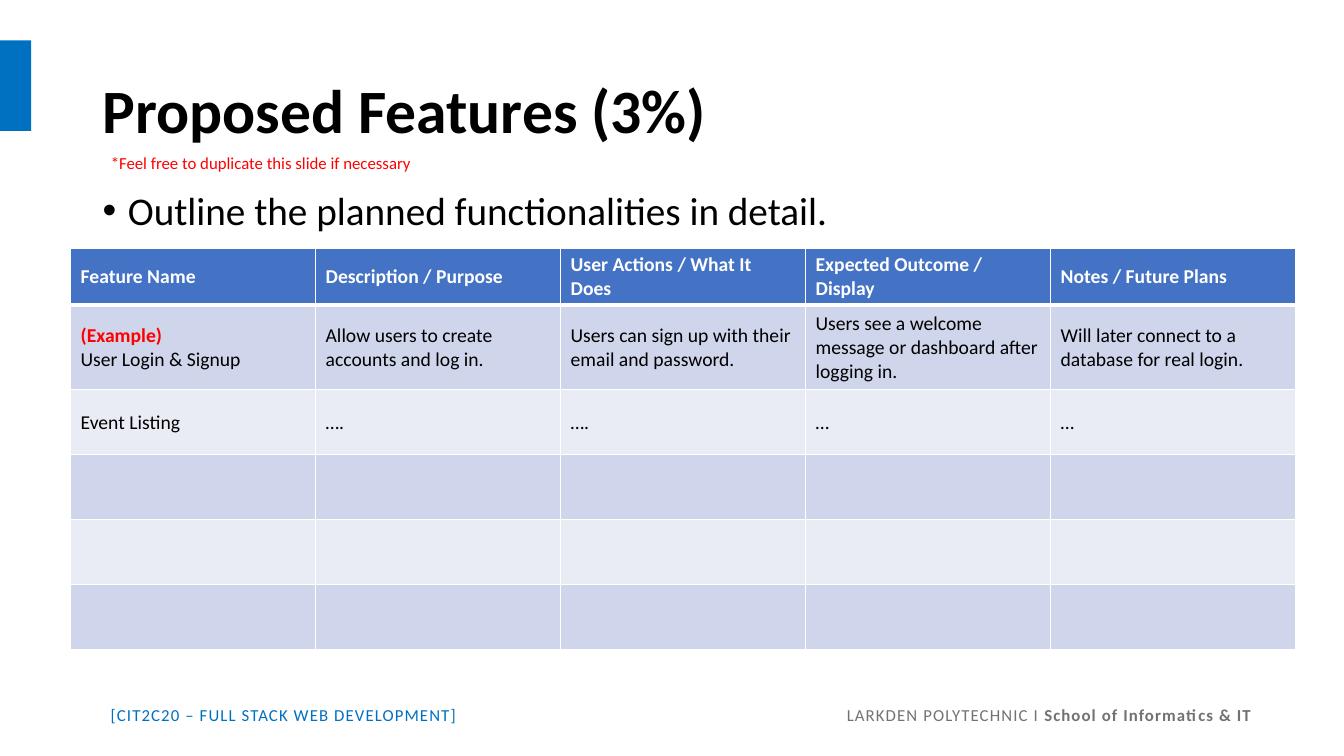
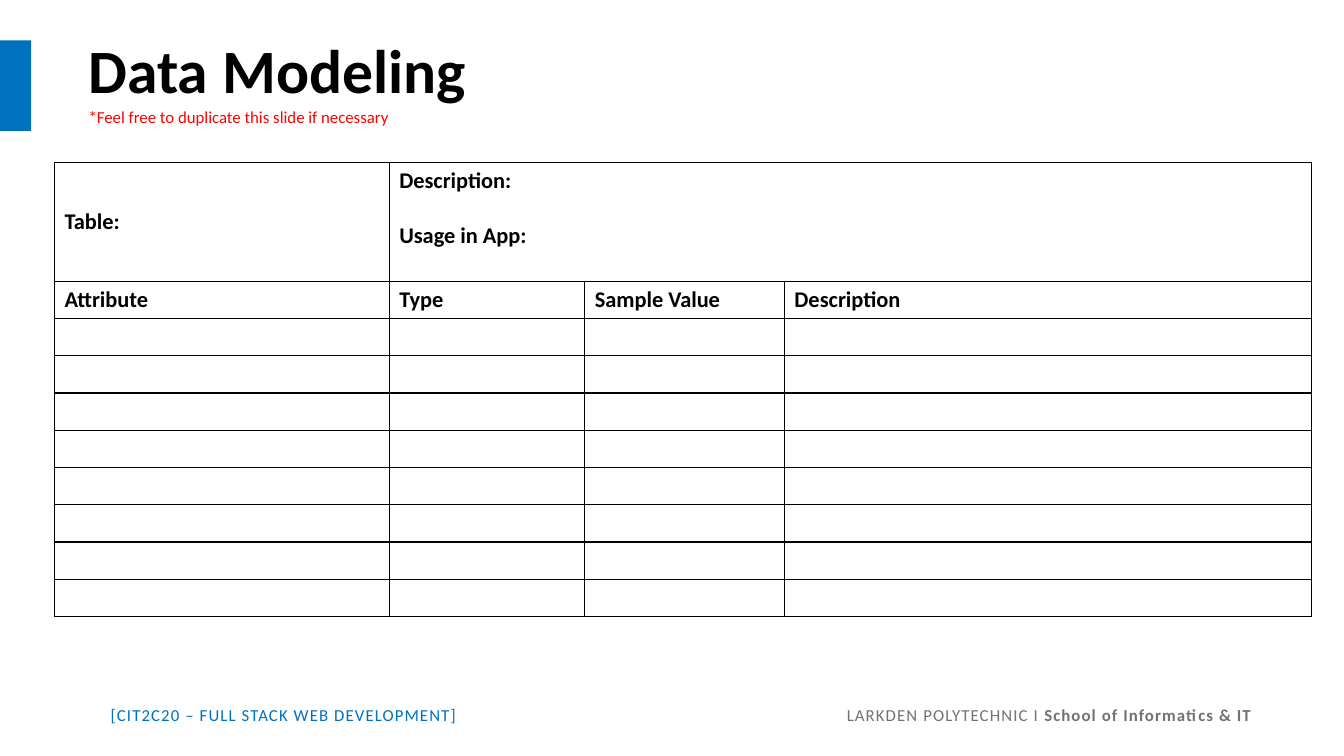
from lxml import etree
from pptx import Presentation
from pptx.dml.color import RGBColor as RGB
from pptx.enum.shapes import MSO_SHAPE as Shape
from pptx.enum.text import MSO_ANCHOR as Anchor, PP_ALIGN as Align
from pptx.oxml.ns import qn
from pptx.util import Inches as In, Pt

WIDE, HIGH = 13.33, 7.5
FONT = "Calibri"
HUE = {
    "ink": "000000", "white": "FFFFFF", "blue": "0070C0", "gray": "767171",
    "red": "FF0000", "head": "4472C4", "dark": "CFD5EA", "light": "E9EBF5",
}

# Content
COURSE = "[CIT2C20 – FULL STACK WEB DEVELOPMENT]"
PLACE = "LARKDEN POLYTECHNIC I "
SCHOOL = "School of Informatics & IT"
NOTE = "*Feel free to duplicate this slide if necessary"
POINT = "Outline the planned functionalities in detail."
MARK = "(Example)"
PLAN = [
    ["Feature Name", "Description / Purpose", "User Actions / What It Does",
     "Expected Outcome / Display", "Notes / Future Plans"],
    [MARK + "\nUser Login & Signup",
     "Allow users to create accounts and log in.",
     "Users can sign up with their email and password.",
     "Users see a welcome message or dashboard after logging in.",
     "Will later connect to a database for real login."],
    ["Event Listing", "….", "….", "…", "…"],
] + [[""] * 5] * 3
MODEL = [
    ["Table:", "Description:\nUsage in App:", "", ""],
    ["Attribute", "Type", "Sample Value", "Description"],
] + [[""] * 4] * 8


def say(para, text, size=12, color="ink", bold=False, track=0, lead=None,
        gap=0, align=Align.LEFT):
    para.alignment = align
    if lead:
        para.line_spacing = lead
    if gap:
        para.space_before = Pt(gap)
    if not text:  # an empty line still sets the row height
        etree.SubElement(para._p, qn("a:endParaRPr"), sz=str(size * 100))
        return
    run = para.add_run()
    run.text = text
    font = run.font
    font.name, font.size, font.bold = FONT, Pt(size), bold
    font.color.rgb = RGB.from_string(HUE[color])
    if track:
        run._r.get_or_add_rPr().set("spc", str(track))


def box(slide, x, y, w, h, wrap=True, anchor=Anchor.TOP):
    frame = slide.shapes.add_textbox(In(x), In(y), In(w), In(h)).text_frame
    frame.word_wrap, frame.vertical_anchor = wrap, anchor
    return frame.paragraphs[0]


def edge(cell, color, foot=1):
    props = cell._tc.get_or_add_tcPr()
    for side, width in zip("LRTB", (1, 1, 1, foot)):
        line = etree.SubElement(props, qn("a:ln" + side), w=str(Pt(width)))
        fill = etree.SubElement(line, qn("a:solidFill"))
        etree.SubElement(fill, qn("a:srgbClr"), val=HUE[color])


def grid(slide, x, y, cols, rows, data, size, rule, fills, heads, ink, foot=1,
         gap=0):
    """Rows before `heads` are bold in `ink`; `fills` holds the head and bands."""
    table = slide.shapes.add_table(len(rows), len(cols), In(x), In(y),
                                   In(sum(cols)), In(sum(rows))).table
    for col, w in zip(table.columns, cols):
        col.width = In(w)
    for r, (h, texts) in enumerate(zip(rows, data)):
        table.rows[r].height = In(h)
        top = r < heads
        tint = fills[0] if top else fills[1 + (r - heads) % 2]
        for c, text in enumerate(texts):
            cell = table.cell(r, c)
            edge(cell, rule, foot if top else 1)
            cell.fill.solid()
            cell.fill.fore_color.rgb = RGB.from_string(HUE[tint])
            cell.vertical_anchor = Anchor.MIDDLE
            frame = cell.text_frame
            for n, line in enumerate(text.split("\n")):
                para = frame.add_paragraph() if n else frame.paragraphs[0]
                mark = line == MARK
                say(para, line, size=size, bold=top or mark,
                    color="red" if mark else ink if top else "ink",
                    gap=gap * n)
    return table


def page(deck, title, x, y, note):
    """Blank slide with side band, footer, title and red note."""
    slide = deck.slides.add_slide(deck.slide_layouts[6])
    band = slide.shapes.add_shape(Shape.RECTANGLE, 0, In(0.4), In(0.31), In(0.9))
    band.shadow.inherit = False
    band.fill.solid()
    band.fill.fore_color.rgb = RGB.from_string(HUE["blue"])
    band.line.fill.background()
    say(box(slide, 1, 6.94, 5, 0.3), COURSE, color="blue", track=80)
    right = box(slide, 7.51, 6.94, 5, 0.3)
    for text, bold in ((PLACE, False), (SCHOOL, True)):
        say(right, text, color="gray", bold=bold, track=80, align=Align.RIGHT)
    say(box(slide, x, y, 11.5, 1.45, anchor=Anchor.MIDDLE), title,
        size=44, bold=True, lead=0.9)
    say(box(slide, *note, 3.21, 0.3, wrap=False), NOTE, color="red")
    return slide


def main():
    deck = Presentation()
    deck.slide_width, deck.slide_height = In(WIDE), In(HIGH)

    # Features
    slide = page(deck, "Proposed Features (3%)", 0.92, 0.4, (1, 1.47))
    para = box(slide, 0.92, 1.85, 11.5, 0.53)
    say(para, POINT, size=28, lead=0.9)
    props = para._p.get_or_add_pPr()
    props.set("marL", str(In(0.25)))
    props.set("indent", str(-In(0.25)))
    etree.SubElement(props, qn("a:buFont"), typeface="Arial")
    etree.SubElement(props, qn("a:buChar"), char="•")
    grid(slide, 0.7, 2.46, [2.43] * 5, [0.56, 0.84] + [0.645] * 4, PLAN, 14,
         "white", ("head", "dark", "light"), 1, "white", foot=3)

    # Data model
    slide = page(deck, "Data Modeling", 0.78, 0, (0.78, 1.01))
    table = grid(slide, 0.54, 1.61, [3.32, 1.94, 1.98, 5.23],
                 [1.18] + [0.37] * 9, MODEL, 16, "ink", ["white"] * 3, 2, "ink",
                 gap=19.5)
    table.cell(0, 1).merge(table.cell(0, 3))
    table.cell(0, 1).vertical_anchor = Anchor.TOP

    deck.save("out.pptx")


if __name__ == "__main__":
    main()
